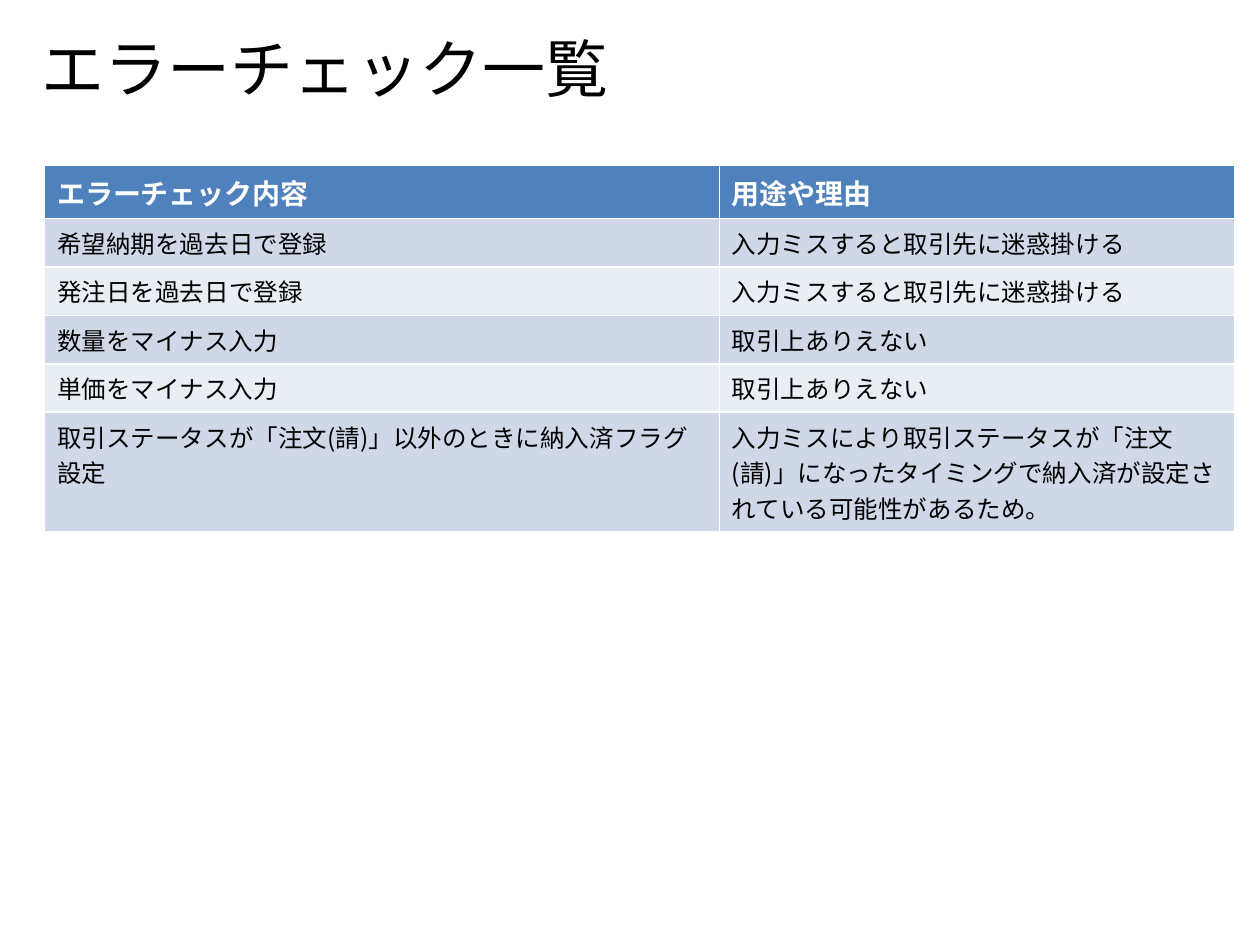
from dataclasses import dataclass

from lxml import etree
from pptx import Presentation
from pptx import util as u
from pptx.dml.color import RGBColor
from pptx.enum import text
from pptx.oxml import ns


@dataclass(frozen=True)
class Theme:
    title_font: str = "Calibri"
    body_font: str = "Noto Sans CJK JP"
    title_size: int = 36
    header_size: int = 16
    body_size: int = 14
    ink: str = "000000"
    header_ink: str = "FFFFFF"
    header_fill: str = "4F81BD"
    bands: tuple = ("D0D8E8", "E9EDF4")


theme = Theme()


def format_text(text_frame, font_name, size, color, bold=False):
    """Format every run, with the body font for its Japanese characters."""
    for paragraph in text_frame.paragraphs:
        paragraph.alignment = text.PP_ALIGN.LEFT
        for run in paragraph.runs:
            run.font.name = font_name
            run.font.size = u.Pt(size)
            run.font.bold = bold
            run.font.color.rgb = RGBColor.from_string(color)
            properties = run.font._element
            east_asian = etree.Element(ns.qn("a:ea"), typeface=theme.body_font)
            properties.find(ns.qn("a:latin")).addnext(east_asian)


presentation = Presentation()
presentation.slide_width = u.Cm(25.4)
presentation.slide_height = u.Cm(19.05)
slide = presentation.slides.add_slide(presentation.slide_layouts[5])

title = slide.shapes.title
title.left, title.top = u.Cm(0.58), u.Cm(0.36)
title.width, title.height = u.Cm(22.86), u.Cm(2)
title.text_frame.text = "エラーチェック一覧"
title.text_frame.vertical_anchor = text.MSO_ANCHOR.MIDDLE
format_text(title.text_frame, theme.title_font, theme.title_size, theme.ink)

rows = [
    ("エラーチェック内容", "用途や理由"),
    ("希望納期を過去日で登録", "入力ミスすると取引先に迷惑掛ける"),
    ("発注日を過去日で登録", "入力ミスすると取引先に迷惑掛ける"),
    ("数量をマイナス入力", "取引上ありえない"),
    ("単価をマイナス入力", "取引上ありえない"),
    (
        "取引ステータスが「注文(請)」以外のときに納入済フラグ設定",
        "入力ミスにより取引ステータスが「注文(請)」になったタイミングで"
        "納入済が設定されている可能性があるため。",
    ),
]
column_widths = (13.6, 10.4)
row_height = 0.53  # minimum; each row grows to fit its text

table_frame = slide.shapes.add_table(
    len(rows), len(column_widths),
    u.Cm(0.9), u.Cm(3.34), u.Cm(sum(column_widths)), u.Cm(row_height * len(rows)),
)
table = table_frame.table
for column, width in zip(table.columns, column_widths):
    column.width = u.Cm(width)

for row_index, row in enumerate(rows):
    is_header = row_index == 0
    fill = theme.header_fill if is_header else theme.bands[(row_index - 1) % 2]
    size = theme.header_size if is_header else theme.body_size
    color = theme.header_ink if is_header else theme.ink
    table.rows[row_index].height = u.Cm(row_height)
    for column_index, content in enumerate(row):
        cell = table.cell(row_index, column_index)
        cell.text_frame.text = content
        cell.fill.solid()
        cell.fill.fore_color.rgb = RGBColor.from_string(fill)
        format_text(cell.text_frame, theme.body_font, size, color, bold=is_header)

presentation.save("out.pptx")
